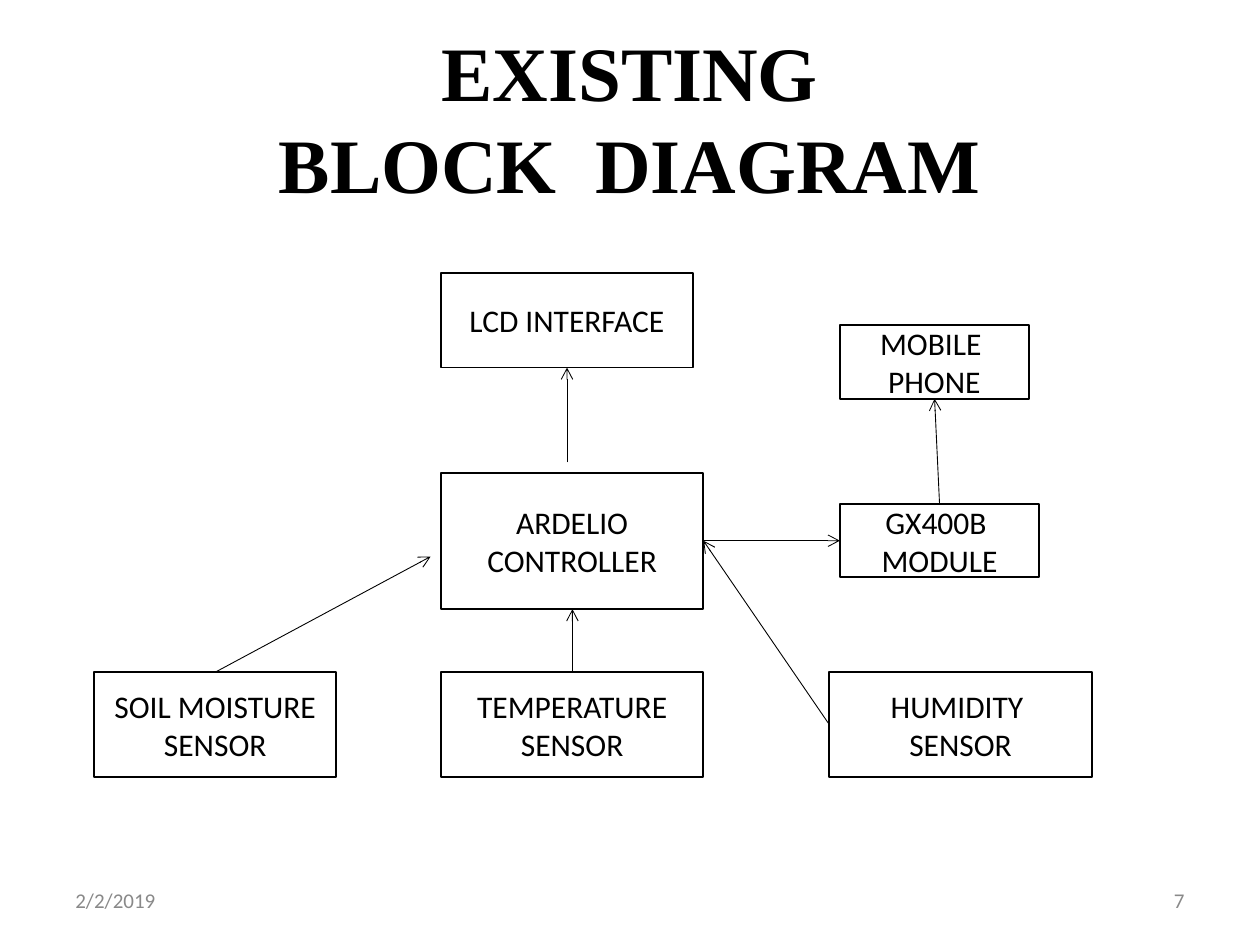
from lxml import etree
from pptx import Presentation
from pptx.dml.color import RGBColor
from pptx.enum.shapes import MSO_CONNECTOR as Connector, MSO_SHAPE as Shape
from pptx.enum.text import MSO_ANCHOR as Anchor, PP_ALIGN as Align
from pptx.oxml.ns import qn
from pptx.util import Cm, Pt

COLORS = {"ink": "000000", "paper": "FFFFFF", "footer": "898989"}


def color(name):
    return RGBColor.from_string(COLORS[name])


def write(shape, paragraphs, size, ink="ink", font="Calibri", align=Align.CENTER, bold=False):
    frame = shape.text_frame
    frame.word_wrap = True
    frame.vertical_anchor = Anchor.MIDDLE
    for index, lines in enumerate(paragraphs):
        paragraph = frame.add_paragraph() if index else frame.paragraphs[0]
        paragraph.alignment = align
        for row, line in enumerate(lines.split("\n")):
            if row:
                paragraph.add_line_break()
            run = paragraph.add_run()
            run.text = line
            run.font.size = Pt(size)
            run.font.name = font
            run.font.bold = bold
            run.font.color.rgb = color(ink)


deck = Presentation()
deck.slide_width, deck.slide_height = Cm(25.4), Cm(19.05)
slide = deck.slides.add_slide(deck.slide_layouts[6])

title = slide.shapes.add_textbox(Cm(1.27), Cm(0.76), Cm(22.86), Cm(3.18))
write(title, ["EXISTING\nBLOCK  DIAGRAM"], 44, font="Times New Roman", bold=True)

for left, text, align in [(1.27, "2/2/2019", Align.LEFT), (18.2, "7", Align.RIGHT)]:
    footer = slide.shapes.add_textbox(Cm(left), Cm(17.65), Cm(5.93), Cm(1.01))
    write(footer, [text], 12, "footer", align=align)

center_left, right_left = 8.89, 16.93
sensor_top, sensor_height = 13.55, 2.12
blocks = [
    (center_left, 5.5, 5.08, 1.91, ["LCD INTERFACE"]),
    (1.9, sensor_top, 4.88, sensor_height, ["SOIL MOISTURE SENSOR"]),
    (center_left, sensor_top, 5.29, sensor_height, ["TEMPERATURE", "SENSOR"]),
    (16.72, sensor_top, 5.29, sensor_height, ["HUMIDITY ", "SENSOR"]),
    (center_left, 9.53, 5.29, 2.75, ["ARDELIO", "CONTROLLER"]),
    (right_left, 6.56, 3.81, 1.48, ["MOBILE ", "PHONE"]),
    (right_left, 10.16, 4.02, 1.48, ["GX400B ", "MODULE"]),
]
for left, top, width, height, label in blocks:
    block = slide.shapes.add_shape(Shape.RECTANGLE, Cm(left), Cm(top), Cm(width), Cm(height))
    block.shadow.inherit = False
    block.fill.solid()
    block.fill.fore_color.rgb = color("paper")
    block.line.color.rgb = color("ink")
    block.line.width = Pt(1)
    write(block, label, 18)

controller_right, controller_middle = 14.18, 10.9
arrows = [
    (4.34, sensor_top, 8.68, 11.22),
    (11.54, sensor_top, 11.54, 12.28),
    (11.43, 9.32, 11.43, 7.41),
    (16.72, 14.61, controller_right, controller_middle),
    (controller_right, controller_middle, right_left, controller_middle),
    (18.94, 10.16, 18.84, 8.04),
]
for ends in arrows:
    arrow = slide.shapes.add_connector(Connector.STRAIGHT, *map(Cm, ends))
    arrow.line.color.rgb = color("ink")
    arrow.line.width = Pt(0.5)
    properties = arrow.element.spPr
    etree.SubElement(properties.find(qn("a:ln")), qn("a:tailEnd"), type="arrow")
    etree.SubElement(properties, qn("a:effectLst"))

deck.save("out.pptx")
